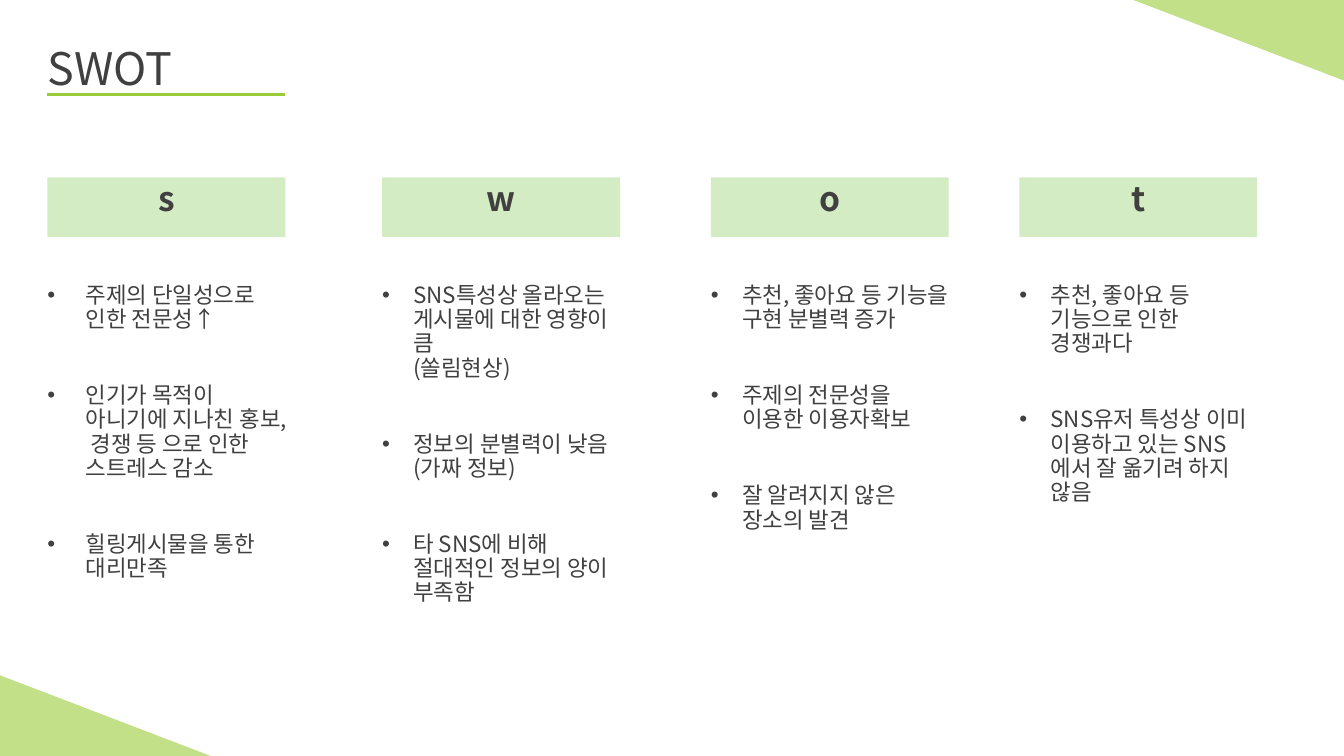
import copy
import pptx
import pptx.dml.color
import pptx.enum.shapes
import pptx.enum.text
import pptx.oxml.ns
import pptx.util
from lxml import etree

INK = pptx.dml.color.RGBColor(0x40, 0x40, 0x40)
LINE = pptx.dml.color.RGBColor(0x9A, 0xCB, 0x39)
LEAF = pptx.dml.color.RGBColor(0xC2, 0xE0, 0x88)
MINT = pptx.dml.color.RGBColor(0xD4, 0xEC, 0xC4)
FONT = "Noto Sans CJK KR"
WIDE, HIGH = 13.33, 7.5
EDGE, COL = 0.47, 2.36
HEAD_TOP, HEAD_HIGH = 1.76, 0.59
LIST_TOP, LIST_HIGH = 2.82, 0.98
ALIGN = pptx.enum.text.PP_ALIGN
ANCHOR = pptx.enum.text.MSO_ANCHOR
qn = pptx.oxml.ns.qn
Inches, Pt = pptx.util.Inches, pptx.util.Pt

COLUMNS = [
    (0.47, 0.38, "s", ["주제의 단일성으로 인한 전문성↑",
                       "인기가 목적이 아니기에 지나친 홍보, 경쟁 등 으로 인한 스트레스 감소",
                       "힐링게시물을 통한 대리만족"]),
    (3.79, 0.31, "w", ["SNS특성상 올라오는 게시물에 대한 영향이 큼\n(쏠림현상)",
                       "정보의 분별력이 낮음(가짜 정보)",
                       "타 SNS에 비해 절대적인 정보의 양이 부족함"]),
    (7.05, 0.31, "o", ["추천, 좋아요 등 기능을 구현 분별력 증가",
                       "주제의 전문성을 이용한 이용자확보",
                       "잘 알려지지 않은 장소의 발견"]),
    (10.11, 0.31, "t", ["추천, 좋아요 등 기능으로 인한 경쟁과다",
                        "SNS유저 특성상 이미 이용하고 있는 SNS에서 잘 옮기려 하지 않음"]),
]


def widen(layout):
    """Give the two-column layout a second set of heads and lists."""
    for holder in list(layout.placeholders):
        idx = holder.placeholder_format.idx
        if 1 <= idx <= 4:
            twin = copy.deepcopy(holder.element)
            twin.find(".//" + qn("p:ph")).set("idx", str(idx + 20))
            twin.find(".//" + qn("p:cNvPr")).set("id", str(idx + 20))
            layout.shapes._spTree.append(twin)


def place(shape, box, anchor):
    """Move a placeholder to its box and clear its margins."""
    shape.left, shape.top, shape.width, shape.height = map(Inches, box)
    frame = shape.text_frame
    frame.margin_left = frame.margin_right = 0
    frame.margin_top = frame.margin_bottom = 0
    frame.auto_size = pptx.enum.text.MSO_AUTO_SIZE.NONE
    frame.word_wrap = True
    frame.vertical_anchor = anchor
    return frame


def write(para, text, size, bold=False):
    """Add text to a paragraph, run by run."""
    for row, part in enumerate(text.split("\n")):
        if row:
            para.add_line_break()
        run = para.add_run()
        run.text = part
        font = run.font
        font.name, font.size, font.bold = FONT, Pt(size), bold
        font.color.rgb = INK
        east = etree.SubElement(run._r.get_or_add_rPr(), qn("a:ea"))
        east.set("typeface", FONT)


def add_title(slide, box):
    """Set the title and the rule beneath it."""
    left, top, wide, high = box
    para = place(slide.shapes.title, box, ANCHOR.MIDDLE).paragraphs[0]
    para.alignment, para.line_spacing = ALIGN.LEFT, 0.9
    write(para, "SWOT", 32)
    base = Inches(top + high)
    rule = slide.shapes.add_connector(
        pptx.enum.shapes.MSO_CONNECTOR.STRAIGHT,
        Inches(left), base, Inches(left + COL), base)
    rule.line.color.rgb, rule.line.width = LINE, Pt(2.25)
    etree.SubElement(rule._element.spPr, qn("a:effectLst"))


def add_head(shape, box, text):
    """Fill a column head with its letter."""
    para = place(shape, box, ANCHOR.TOP).paragraphs[0]
    shape.fill.solid()
    shape.fill.fore_color.rgb = MINT
    para.alignment, para.space_before = ALIGN.CENTER, Pt(0)
    write(para, text, 24, True)


def add_list(shape, box, indent, items):
    """Fill a column with spaced bullet points."""
    frame = place(shape, box, ANCHOR.TOP)
    for row, item in enumerate(items):
        para = frame.add_paragraph() if row else frame.paragraphs[0]
        props = para._p.get_or_add_pPr()
        props.set("marL", str(Inches(indent)))
        props.set("indent", str(-Inches(indent)))
        etree.SubElement(props, qn("a:buChar")).set("char", "•")
        para.alignment, para.line_spacing = ALIGN.LEFT, 0.9
        para.space_before = Pt(37 if row else 0)
        write(para, item, 16)


def add_corner(slide, points):
    """Draw a solid triangle in a corner of the slide."""
    pen = slide.shapes.build_freeform(*map(Inches, points[0]), scale=1.0)
    pen.add_line_segments([tuple(map(Inches, p)) for p in points[1:]], close=True)
    shape = pen.convert_to_shape()
    shape.shadow.inherit = False
    shape.fill.solid()
    shape.fill.fore_color.rgb = LEAF
    shape.line.fill.background()


def main():
    """Build the slide and save it."""
    deck = pptx.Presentation()
    deck.slide_width, deck.slide_height = Inches(WIDE), Inches(HIGH)
    layout = deck.slide_layouts[4]
    widen(layout)
    slide = deck.slides.add_slide(layout)
    add_title(slide, (EDGE, EDGE, WIDE - 2 * EDGE, EDGE))
    slots = {s.placeholder_format.idx: s for s in slide.placeholders}
    for idx, (left, indent, head, items) in zip((1, 3, 21, 23), COLUMNS):
        add_head(slots[idx], (left, HEAD_TOP, COL, HEAD_HIGH), head)
        add_list(slots[idx + 1], (left, LIST_TOP, COL, LIST_HIGH), indent, items)
    wide, high = 2.09, 0.8
    add_corner(slide, [(WIDE - wide, 0), (WIDE, 0), (WIDE, high)])
    add_corner(slide, [(wide, HIGH), (0, HIGH), (0, HIGH - high)])
    deck.save("out.pptx")


if __name__ == "__main__":
    main()
